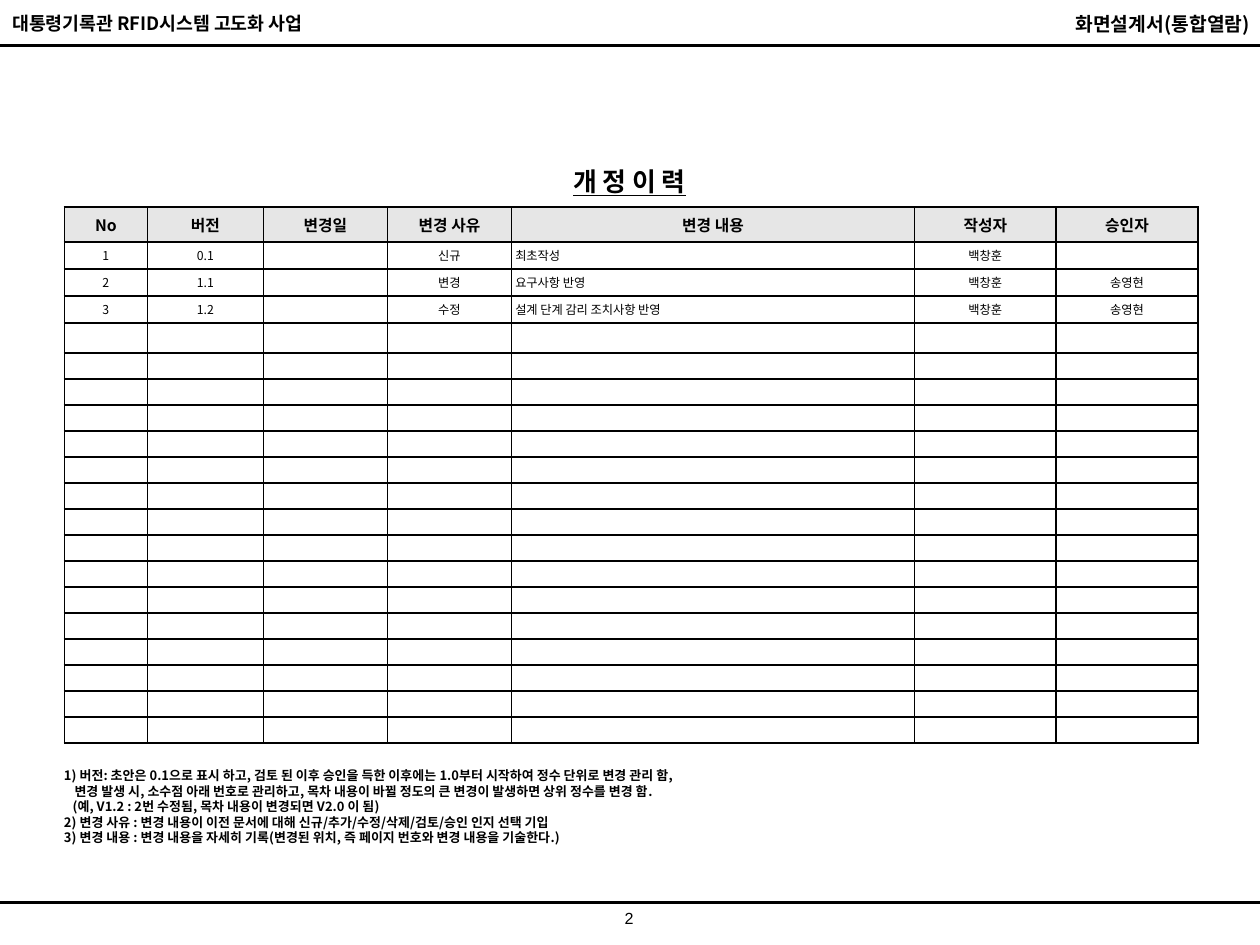
from lxml import etree
from pptx import Presentation, util as u
from pptx.dml.color import RGBColor
from pptx.enum import shapes, text
from pptx.oxml import ns

# Content
PROJECT = "대통령기록관 RFID시스템 고도화 사업"
DOCUMENT = "화면설계서(통합열람)"
TITLE = "개 정 이 력"
PAGE = "2"
COLUMNS = [("No", 47.4), ("버전", 66.3), ("변경일", 70.9), ("변경 사유", 70.9),
           ("변경 내용", 230.3), ("작성자", 80.9), ("승인자", 81.1)]
REVISIONS = [
    ("1", "0.1", "", "신규", "최초작성", "백창훈", ""),
    ("2", "1.1", "", "변경", "요구사항 반영", "백창훈", "송영현"),
    ("3", "1.2", "", "수정", "설계 단계 감리 조치사항 반영", "백창훈", "송영현"),
]
EMPTY_ROWS = 16
CONTENT_COLUMN = 4
NOTES = [  # text, left indent
    ("1) 버전: 초안은 0.1으로 표시 하고, 검토 된 이후 승인을 득한 이후에는 1.0부터 시작하여 정수 단위로 변경 관리 함,", 0),
    ("변경 발생 시, 소수점 아래 번호로 관리하고, 목차 내용이 바뀔 정도의 큰 변경이 발생하면 상위 정수를 변경 함.", 6),
    ("(예, V1.2 : 2번 수정됨, 목차 내용이 변경되면 V2.0 이 됨)", 5),
    ("2) 변경 사유 : 변경 내용이 이전 문서에 대해 신규/추가/수정/삭제/검토/승인 인지 선택 기입", 0),
    ("3) 변경 내용 : 변경 내용을 자세히 기록(변경된 위치, 즉 페이지 번호와 변경 내용을 기술한다.)", 0),
]

THEME = {
    "font": "Noto Sans CJK KR", "page_font": "Arial",
    "ink": "000000", "header_fill": "E6E6E6", "cell_fill": "FFFFFF",
    "project": 10.5, "document": 11, "title": 14.8, "header": 9,
    "body": 7, "notes": 7.4, "page": 9.2, "rule": 1.5, "border": 1,
}
WIDTH, HEIGHT = 720, 540
TABLE_LEFT, TABLE_TOP = 36.8, 118.3
ROW_HEIGHTS = [20] + [15.43] * 3 + [17.14] + [14.86] * (EMPTY_ROWS - 1)
LEFT, CENTER, RIGHT = text.PP_ALIGN.LEFT, text.PP_ALIGN.CENTER, text.PP_ALIGN.RIGHT
TOP, MIDDLE = text.MSO_ANCHOR.TOP, text.MSO_ANCHOR.MIDDLE


def color(name):
    return RGBColor.from_string(THEME[name])


def style(paragraph, size, align=LEFT, bold=True, underline=False, font="font"):
    paragraph.alignment = align
    for run in paragraph.runs:
        run.font.size = u.Pt(THEME[size])
        run.font.bold = bold
        run.font.underline = underline
        run.font.name = THEME[font]
        run.font.color.rgb = color("ink")
        east_asian = etree.SubElement(run.font._element, ns.qn("a:ea"))
        east_asian.set("typeface", THEME[font])


def add_text(slide, box, lines, size, anchor=TOP, **look):
    shape = slide.shapes.add_textbox(*map(u.Pt, box))
    frame = shape.text_frame
    frame.word_wrap = True
    frame.vertical_anchor = anchor
    frame.text = "\n".join(lines)
    for paragraph in frame.paragraphs:
        style(paragraph, size, **look)
    return frame


def add_rule(slide, y):
    line = slide.shapes.add_connector(
        shapes.MSO_CONNECTOR.STRAIGHT, 0, u.Pt(y), u.Pt(WIDTH), u.Pt(y))
    line.line.color.rgb = color("ink")
    line.line.width = u.Pt(THEME["rule"])
    etree.SubElement(line._element.spPr, ns.qn("a:effectLst"))


def add_borders(cell):
    properties = cell._tc.get_or_add_tcPr()
    for side in ("lnL", "lnR", "lnT", "lnB"):
        border = etree.SubElement(properties, ns.qn("a:" + side), w=str(u.Pt(THEME["border"])))
        fill = etree.SubElement(border, ns.qn("a:solidFill"))
        etree.SubElement(fill, ns.qn("a:srgbClr"), val=THEME["ink"])


def fill_cell(cell, value, is_header, align):
    cell.margin_left = cell.margin_right = u.Pt(2.2)
    cell.margin_top = cell.margin_bottom = 0
    cell.vertical_anchor = MIDDLE
    add_borders(cell)
    cell.fill.solid()
    cell.fill.fore_color.rgb = color("header_fill" if is_header else "cell_fill")
    cell.text_frame.text = value
    paragraph = cell.text_frame.paragraphs[0]
    style(paragraph, "header" if is_header else "body", align, bold=is_header)
    if not value:  # small type keeps an empty row from growing
        etree.SubElement(paragraph._p, ns.qn("a:endParaRPr"), sz=str(THEME["body"] * 100))


def add_history(slide):
    blank = ("",) * len(COLUMNS)
    rows = [tuple(name for name, _ in COLUMNS)] + REVISIONS + [blank] * EMPTY_ROWS
    widths = [width for _, width in COLUMNS]
    table = slide.shapes.add_table(
        len(rows), len(COLUMNS), u.Pt(TABLE_LEFT), u.Pt(TABLE_TOP),
        u.Pt(sum(widths)), u.Pt(sum(ROW_HEIGHTS))).table
    table.horz_banding = False
    for column, width in zip(table.columns, widths):
        column.width = u.Pt(width)
    for r, (values, height) in enumerate(zip(rows, ROW_HEIGHTS)):
        table.rows[r].height = u.Pt(height)
        for c, value in enumerate(values):
            align = LEFT if r and c == CONTENT_COLUMN else CENTER
            fill_cell(table.cell(r, c), value, r == 0, align)


def main():
    presentation = Presentation()
    presentation.slide_width, presentation.slide_height = u.Pt(WIDTH), u.Pt(HEIGHT)
    slide = presentation.slides.add_slide(presentation.slide_layouts[6])

    # Page frame
    for y in (26, 515.7):
        add_rule(slide, y)
    add_text(slide, (0, 3.2, 299, 21), [PROJECT], "project")
    add_text(slide, (422.4, 3.2, 299, 21), [DOCUMENT], "document", align=RIGHT)
    add_text(slide, (326, 515.7, 67, 19), [PAGE], "page",
             align=CENTER, bold=False, font="page_font")

    # Revision history
    add_text(slide, (27.4, 90.7, 664.6, 25.2), [TITLE], "title", MIDDLE,
             align=CENTER, underline=True)
    add_history(slide)

    # Notes
    frame = add_text(slide, (29.5, 434.9, 509, 51.8), [line for line, _ in NOTES],
                     "notes", MIDDLE)
    for paragraph, (_, indent) in zip(frame.paragraphs, NOTES):
        paragraph.line_spacing = u.Pt(8.9)
        paragraph._p.get_or_add_pPr().set("marL", str(u.Pt(indent)))

    presentation.save("out.pptx")


if __name__ == "__main__":
    main()
